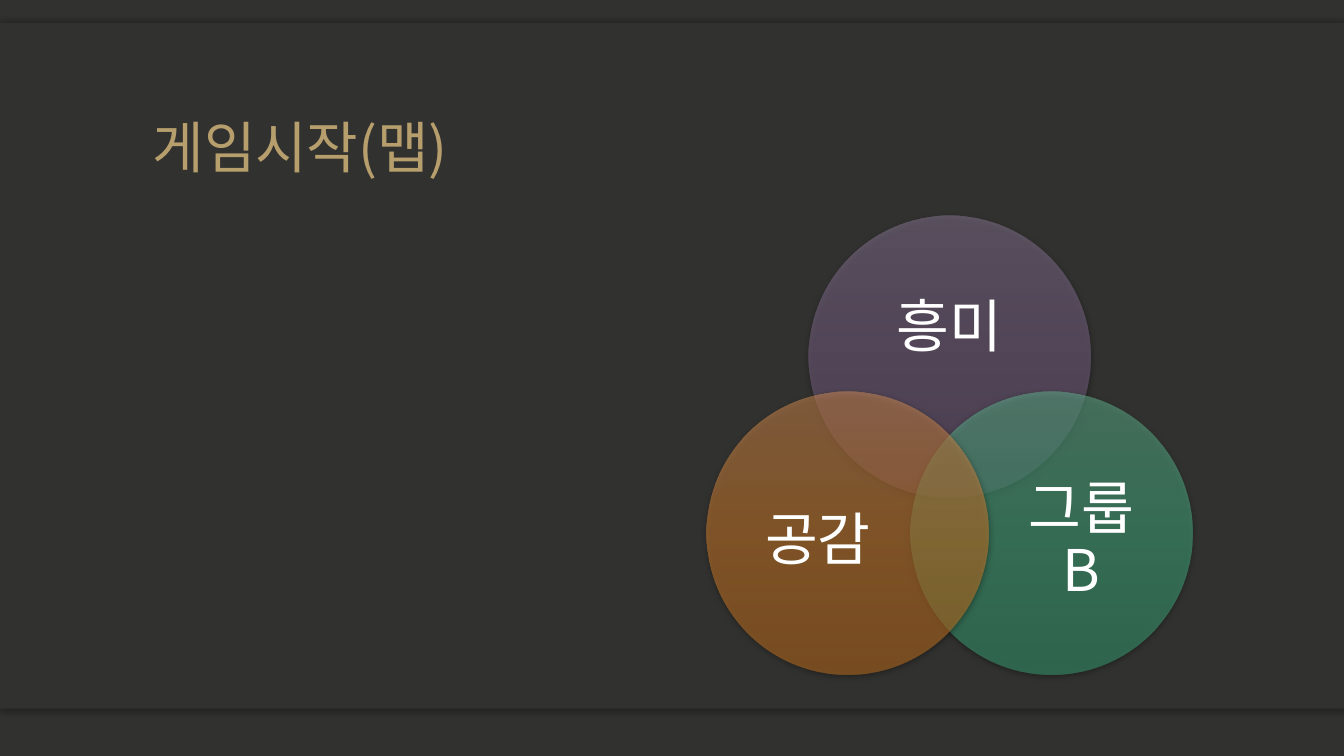
from typing import NamedTuple

from lxml import etree
from pptx import Presentation
from pptx.dml.color import RGBColor
from pptx.enum.shapes import MSO_SHAPE
from pptx.enum.text import MSO_ANCHOR, PP_ALIGN
from pptx.oxml.ns import qn
from pptx.util import Pt

RECT, OVAL = MSO_SHAPE.RECTANGLE, MSO_SHAPE.OVAL
MIDDLE, BOTTOM = MSO_ANCHOR.MIDDLE, MSO_ANCHOR.BOTTOM
LEFT, CENTER = PP_ALIGN.LEFT, PP_ALIGN.CENTER

FONT = "Noto Sans CJK KR"
COLORS = {"ground": "31312F", "gold": "B79E6D", "white": "FFFFFF", "black": "000000"}
WIDTH, HEIGHT = 960, 540
SIZE = 201.6  # circle diameter
MID_X, TOP_Y = 577.5, 154  # top circle's corner
STEP_X, STEP_Y = 72.75, 126  # from the top circle to the lower ones


class Box(NamedTuple):
    left: float
    top: float
    width: float
    height: float


class Shade(NamedTuple):
    alpha: int
    blur: float
    dist: float
    angle: int


class Circle(NamedTuple):
    text: str
    col: int
    row: int
    stops: tuple[str, str, str]
    label: Box  # relative to the circle


class Style(NamedTuple):
    size: int
    color: str
    align: PP_ALIGN
    anchor: MSO_ANCHOR
    inset: tuple[float, float]


DROP = Shade(63, 4.5, 1.5, 90)
BANDS = [
    (Box(0, 471, WIDTH, 35), Shade(25, 4, 2, 90)),
    (Box(0, 16.5, WIDTH, 35), Shade(25, 4, 2, 270)),
    (Box(0, 16.5, WIDTH, 489.5), None),
]
CIRCLES = [
    Circle("흥미", 0, 0, ("907D9B", "826A90", "745D81"), Box(26.9, 35.3, 147.8, 90.7)),
    Circle("그룹 B", 1, 1, ("69BB96", "4BB88A", "3DA97B"), Box(61.6, 52, 121, 110.9)),
    Circle("공감", -1, 1, ("DB945A", "DD862F", "CD7721"), Box(19, 52, 121, 110.9)),
]
TITLE = Style(40, "gold", LEFT, BOTTOM, (7.2, 3.6))
LABEL = Style(41, "white", CENTER, MIDDLE, (6, 0))


def paint(parent, tag: str, color: str, alpha: int, **attrs: str) -> None:
    """Add an element holding a colour with the given opacity in percent."""
    node = etree.SubElement(parent, qn(tag), attrs)
    tint = etree.SubElement(node, qn("a:srgbClr"), val=color)
    etree.SubElement(tint, qn("a:alpha"), val=str(alpha * 1000))


def add_shape(slide, kind: MSO_SHAPE, box: Box, shade: Shade | None):
    shape = slide.shapes.add_shape(kind, *map(Pt, box))
    shape.line.fill.background()
    shape.shadow.inherit = False
    if shade:
        effects = shape._element.spPr.find(qn("a:effectLst"))
        paint(effects, "a:outerShdw", COLORS["black"], shade.alpha,
              blurRad=str(Pt(shade.blur)), dist=str(Pt(shade.dist)),
              dir=str(shade.angle * 60000), algn="ctr", rotWithShape="0")
    return shape


def add_text(slide, text: str, box: Box, style: Style) -> None:
    frame = slide.shapes.add_textbox(*map(Pt, box)).text_frame
    frame.word_wrap = True
    frame.vertical_anchor = style.anchor
    side, edge = map(Pt, style.inset)
    frame.margin_left = frame.margin_right = side
    frame.margin_top = frame.margin_bottom = edge
    para = frame.paragraphs[0]
    run = para.add_run()
    run.text = text
    para.alignment = style.align
    para.line_spacing = 0.9
    para.font.name = FONT
    para.font.size = Pt(style.size)
    para.font.color.rgb = RGBColor.from_string(COLORS[style.color])
    # Hangul takes its face from the East Asian font
    etree.SubElement(run.font._element, qn("a:ea"), typeface=FONT)


def add_circle(slide, circle: Circle) -> None:
    left = MID_X + circle.col * STEP_X
    top = TOP_Y + circle.row * STEP_Y
    shape = add_shape(slide, OVAL, Box(left, top, SIZE, SIZE), DROP)
    shape.fill.gradient()
    shape.fill.gradient_angle = 270
    stops = shape._element.spPr.find(".//" + qn("a:gsLst"))
    for old in list(stops):
        stops.remove(old)
    for place, color in enumerate(circle.stops):
        paint(stops, "a:gs", color, 50, pos=str(place * 50000))
    label = circle.label
    place = Box(left + label.left, top + label.top, label.width, label.height)
    add_text(slide, circle.text, place, LABEL)


def main() -> None:
    deck = Presentation()
    deck.slide_width, deck.slide_height = Pt(WIDTH), Pt(HEIGHT)
    slide = deck.slides.add_slide(deck.slide_layouts[6])
    ground = RGBColor.from_string(COLORS["ground"])
    slide.background.fill.solid()
    slide.background.fill.fore_color.rgb = ground
    for box, shade in BANDS:
        band = add_shape(slide, RECT, box, shade)
        band.fill.solid()
        band.fill.fore_color.rgb = ground
    add_text(slide, "게임시작(맵)", Box(102, 33, 756, 99.5), TITLE)
    for circle in CIRCLES:
        add_circle(slide, circle)
    deck.save("out.pptx")


if __name__ == "__main__":
    main()
